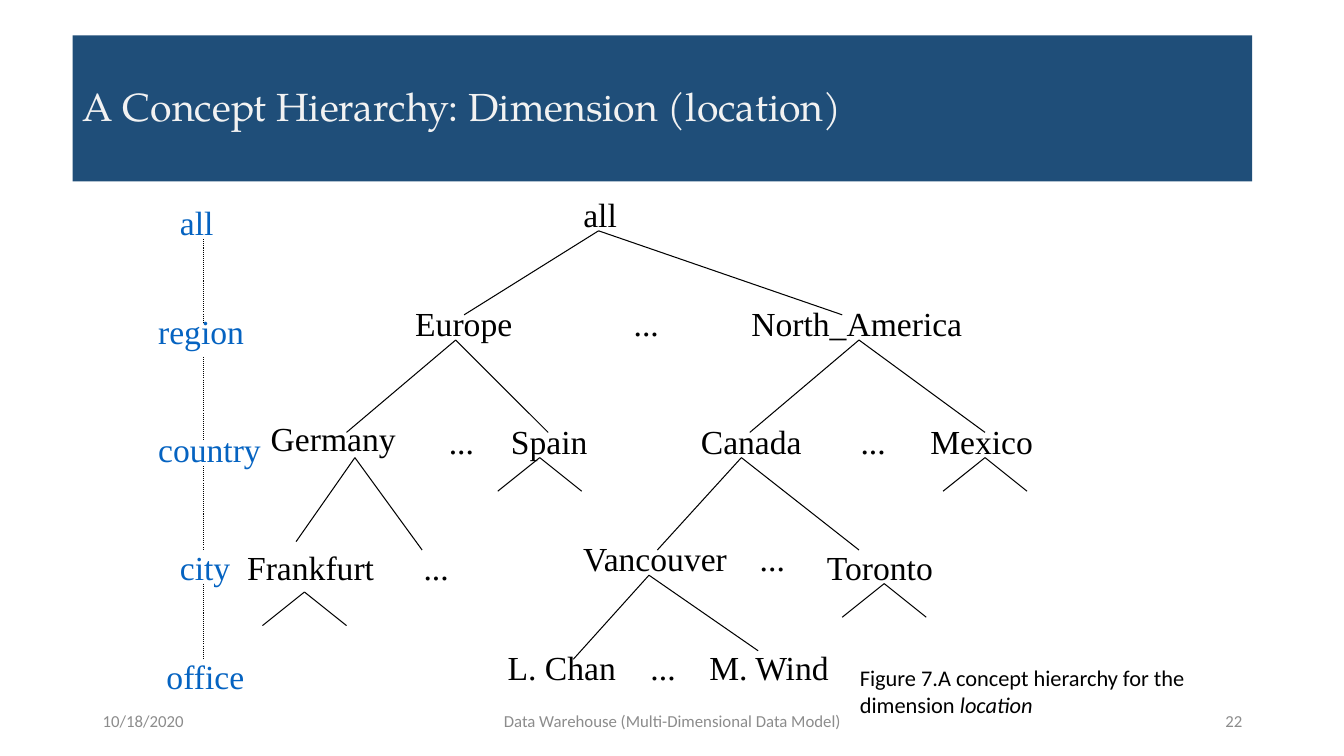
from pptx import Presentation
from pptx.dml.color import RGBColor
from pptx.enum.dml import MSO_LINE
from pptx.enum.shapes import MSO_CONNECTOR
from pptx.enum.text import MSO_ANCHOR, MSO_AUTO_SIZE, PP_ALIGN
from pptx.oxml.ns import qn
from pptx.util import Inches, Pt
from lxml import etree

LEFT, CENTER, RIGHT = PP_ALIGN.LEFT, PP_ALIGN.CENTER, PP_ALIGN.RIGHT
MIDDLE = MSO_ANCHOR.MIDDLE
FIT = MSO_AUTO_SIZE.SHAPE_TO_FIT_TEXT
STRAIGHT = MSO_CONNECTOR.STRAIGHT
DOTTED = MSO_LINE.ROUND_DOT

COLORS = {"banner": "1F4E79", "title": "F2F2F2", "footer": "8C8C8C",
          "ink": "000000", "level": "0563C1"}
TITLE_FONT, TREE_FONT, BODY_FONT = "TeX Gyre Pagella", "Times New Roman", "Calibri"

TITLE = "A Concept Hierarchy: Dimension (location)"
CAPTION = ("Figure 7.A concept hierarchy for the dimension ", "location")
FOOTERS = [
    ("10/18/2020", 0.92, 3, LEFT),
    ("Data Warehouse (Multi-Dimensional Data Model)", 4.42, 4.5, CENTER),
    ("22", 9.42, 3, RIGHT),
]

# text, column, row, width in columns
LEVELS = [
    ("all", -4, -4, 6.4),
    ("region", -6.6, 9, 12.6),
    ("country", -6.6, 23, 14.6),
    ("city", -4, 37, 8.4),
    ("office", -5.6, 50, 11.8),
]
LEVEL_GAPS = [(1, 11), (15, 25), (28, 38), (42, 51)]
PLACES = [
    ("all", 44, -5, 6.4),
    ("Europe", 24, 8, 14.2),
    ("...", 50, 8, 5.4),
    ("North_America", 64, 8, 27.5),
    ("Germany", 6.8, 21.7, 17.3),
    ("...", 28, 22, 5.4),
    ("Spain", 35.4, 22, 11.5),
    ("Canada", 58, 22, 14.4),
    ("...", 77, 22, 5.4),
    ("Mexico", 85.3, 22, 14.6),
    ("Frankfurt", 4, 37, 17.5),
    ("...", 25, 37, 5.4),
    ("Vancouver", 44, 36, 19.9),
    ("...", 65, 36, 5.4),
    ("Toronto", 73, 37, 15.2),
    ("L. Chan", 35, 49, 15.6),
    ("...", 52, 49, 5.4),
    ("M. Wind", 59, 49, 16.8),
]
BRANCHES = [
    ((47, 0), (31, 10), (76, 10)),
    ((30, 13), (17, 24), (41, 24)),
    ((78, 13), (65, 24), (93, 24)),
    ((18, 27), (11, 37), (26, 38)),
    ((64, 27), (54, 38), (78, 38)),
    ((53, 41), (44, 51), (66, 50)),
]
STUBS = [(40, 27), (93, 27), (12, 43), (81, 42)]
STUB_REACH, STUB_DROP = 5, 4

CELL = 1 / 12
TREE_LEFT, TREE_TOP = 2.02, 2.29
LABEL_HEIGHT = 0.5


def grid(column, row):
    return TREE_LEFT + column * CELL, TREE_TOP + row * CELL


def style(run, font, size, color):
    run.font.name = font
    run.font.size = Pt(size)
    run.font.color.rgb = RGBColor.from_string(COLORS[color])


def add_text(text, left, top, width, height, font, size, color, wrap=True):
    box = slide.shapes.add_textbox(*map(Inches, (left, top, width, height)))
    frame = box.text_frame
    frame.word_wrap = wrap
    frame.text = text
    style(frame.paragraphs[0].runs[0], font, size, color)
    return frame


def add_label(text, column, row, columns, color):
    frame = add_text(text, *grid(column, row), columns * CELL, LABEL_HEIGHT,
                     TREE_FONT, 24, color, wrap=False)
    frame.auto_size = FIT


def add_line(start, end, dash=None):
    line = slide.shapes.add_connector(
        STRAIGHT, *map(Inches, grid(*start) + grid(*end)))
    line.line.color.rgb = RGBColor.from_string(COLORS["ink"])
    line.line.width = Pt(0.75)
    if dash:
        line.line.dash_style = dash
    etree.SubElement(line._element.spPr, qn("a:effectLst"))


prs = Presentation()
prs.slide_width, prs.slide_height = Inches(13.33), Inches(7.5)
slide = prs.slides.add_slide(prs.slide_layouts[5])

banner = slide.shapes.title
banner.left, banner.top, banner.width, banner.height = map(
    Inches, (0.72, 0.35, 11.7, 1.45))
banner.fill.solid()
banner.fill.fore_color.rgb = RGBColor.from_string(COLORS["banner"])
banner.text_frame.text = TITLE
banner.text_frame.vertical_anchor = MIDDLE
heading = banner.text_frame.paragraphs[0]
heading.alignment = LEFT
heading.line_spacing = 0.9
style(heading.runs[0], TITLE_FONT, 28, "title")

for text, left, width, alignment in FOOTERS:
    footer = add_text(text, left, 6.95, width, 0.4, BODY_FONT, 12, "footer")
    footer.vertical_anchor = MIDDLE
    footer.paragraphs[0].alignment = alignment

for place in PLACES:
    add_label(*place, "ink")
for level in LEVELS:
    add_label(*level, "level")

for parent, *children in BRANCHES:
    for child in children:
        add_line(parent, child)
for column, row in STUBS:
    for reach in (-STUB_REACH, STUB_REACH):
        add_line((column, row), (column + reach, row + STUB_DROP))
for top, bottom in LEVEL_GAPS:
    add_line((0, top), (0, bottom), DOTTED)

caption = add_text(CAPTION[0], 8.43, 6.54, 4.35, 0.64, BODY_FONT, 16, "ink")
caption.auto_size = FIT
dimension = caption.paragraphs[0].add_run()
dimension.text = CAPTION[1]
style(dimension, BODY_FONT, 16, "ink")
dimension.font.italic = True

prs.save("out.pptx")
